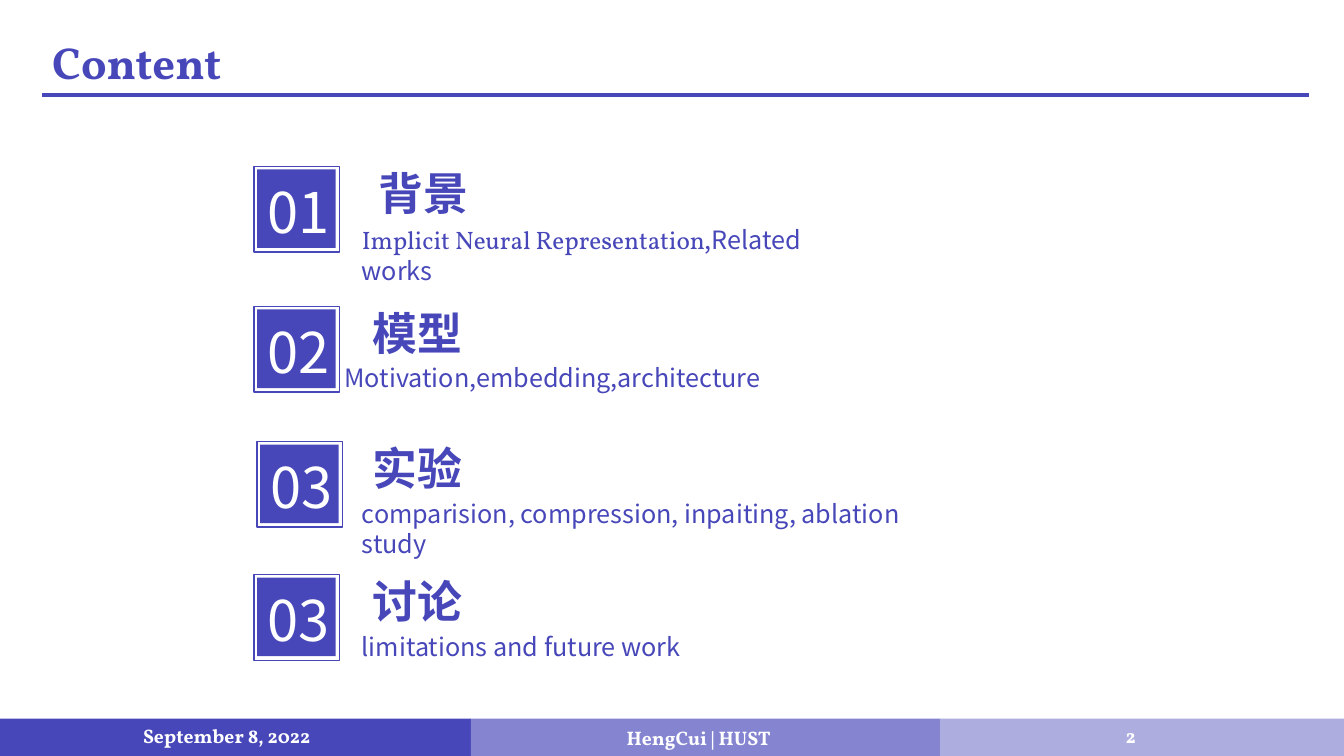
"""Build the contents slide with four numbered sections and a footer bar."""
from lxml.etree import SubElement
from pptx import Presentation
from pptx.dml.color import RGBColor
from pptx.enum.shapes import MSO_CONNECTOR as Connector, MSO_SHAPE as Shape
from pptx.enum.text import MSO_ANCHOR as Anchor, PP_ALIGN as Align
from pptx.oxml.ns import qn
from pptx.util import Inches, Pt

INDIGO = RGBColor(0x47, 0x47, 0xBA)
LAVENDER = RGBColor(0x84, 0x84, 0xD1)
LILAC = RGBColor(0xAD, 0xAD, 0xE0)
WHITE = RGBColor(0xFF, 0xFF, 0xFF)
SERIF = "Vollkorn"
SANS = "Noto Sans CJK SC"


def add_rect(shapes, box, fill=None):
    """Add a filled rectangle, or an indigo outline when no fill is given."""
    rect = shapes.add_shape(Shape.RECTANGLE, *map(Inches, box))
    rect.shadow.inherit = False
    if fill is None:
        rect.fill.background()
        rect.line.color.rgb = INDIGO
        rect.line.width = Pt(1)
    else:
        rect.fill.solid()
        rect.fill.fore_color.rgb = fill
        rect.line.fill.background()


def add_text(shapes, box, runs, size, color, bold=False, align=Align.LEFT,
             anchor=Anchor.TOP, spacing=None):
    """Add a one-paragraph text box from (text, font) runs."""
    frame = shapes.add_textbox(*map(Inches, box)).text_frame
    frame.word_wrap = True
    frame.vertical_anchor = anchor
    paragraph = frame.paragraphs[0]
    paragraph.alignment = align
    paragraph.line_spacing = spacing
    for text, face in runs:
        run = paragraph.add_run()
        run.text = text
        run.font.name = face
        run.font.size = Pt(size)
        run.font.bold = bold
        run.font.color.rgb = color
        SubElement(run.font._element, qn("a:ea")).set("typeface", SANS)


deck = Presentation()
deck.slide_width, deck.slide_height = Inches(13.33), Inches(7.5)
slide = deck.slides.add_slide(deck.slide_layouts[6])
shapes = slide.shapes

footer = [
    (0, 4.67, INDIGO, "September 8, 2022", (1.32, 7.1, 2.02, 0.4), Align.LEFT),
    (4.67, 4.66, LAVENDER, "HengCui | HUST", (4.46, 7.17, 4.94, 0.3), Align.CENTER),
    (9.33, 4, LILAC, "2", (10.77, 7, 0.89, 0.6), Align.CENTER),
]
for left, width, fill, label, label_box, align in footer:
    add_rect(shapes, (left, 7.13, width, 0.37), fill)
    add_text(shapes, label_box, [(label, SERIF)], 14, WHITE, True, align, Anchor.MIDDLE)

title_rule = shapes.add_connector(
    Connector.STRAIGHT, Inches(0.42), Inches(0.94), Inches(12.98), Inches(0.94))
title_rule.line.color.rgb = INDIGO
title_rule.line.width = Pt(3)
SubElement(title_rule._element.spPr, qn("a:effectLst"))
add_text(shapes, (0.42, 0.36, 7.44, 0.58), [("Content", SERIF)], 32, INDIGO, True,
         spacing=0.9)

sections = [
    ("01", 2.52, 1.65, "背景", 3.66, 3.49, 5.23, 0.53, Align.LEFT,
     [("Implicit Neural Representation", SERIF), (",Related works", SANS)]),
    ("02", 2.52, 3.04, "模型", 3.6, 3.27, 4.42, 0.51, Align.CENTER,
     [("Motivation,embedding,architecture", SANS)]),
    ("03", 2.55, 4.38, "实验", 3.6, 3.49, 5.95, 0.51, Align.LEFT,
     [("comparision, compression, inpaiting, ablation study", SANS)]),
    ("03", 2.52, 5.7, "讨论", 3.6, 3.49, 5.95, 0.51, Align.LEFT,
     [("limitations and future work", SANS)]),
]
for (number, left, top, heading, heading_left, detail_left, detail_width,
     detail_drop, align, detail) in sections:
    section = shapes.add_group_shape().shapes
    add_rect(section, (left + 0.03, top + 0.03, 0.78, 0.78), INDIGO)
    add_rect(section, (left, top, 0.85, 0.85))
    add_text(section, (left + 0.03, top + 0.06, 0.82, 0.77), [(number, SANS)], 40, WHITE)
    add_text(section, (heading_left, top, 1.19, 0.58), [(heading, SERIF)], 32, INDIGO,
             True, spacing=0.9)
    add_text(section, (detail_left, top + detail_drop, detail_width, 0.4), detail, 18,
             INDIGO, align=align)

deck.save("out.pptx")
